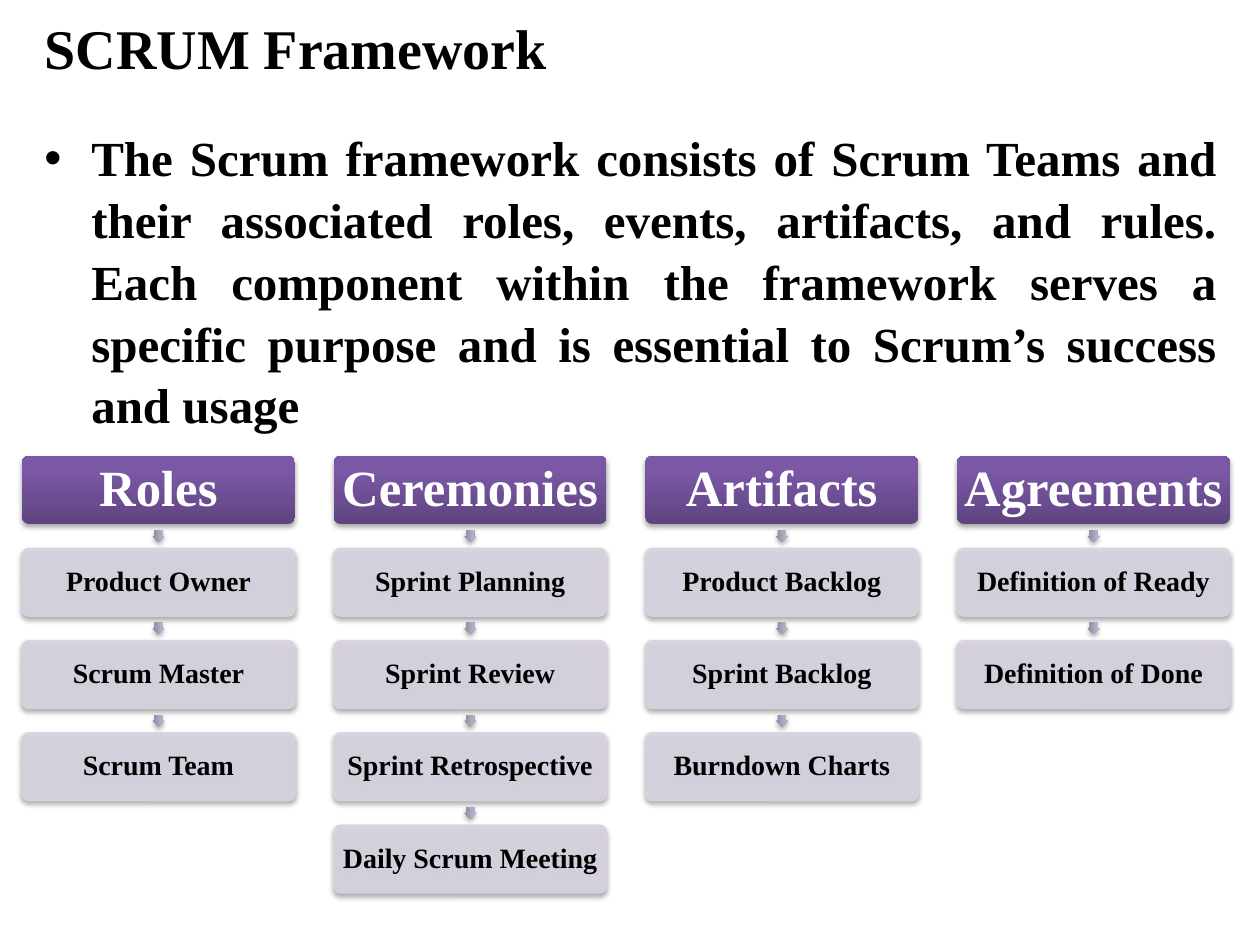
"""Build the SCRUM Framework slide: a title, a definition and four columns of boxes."""
from copy import deepcopy

from lxml import etree
from pptx import Presentation
from pptx import util as u
from pptx.dml.color import RGBColor
from pptx.enum import shapes, text
from pptx.oxml import ns

TITLE = "SCRUM Framework"
DEFINITION = (
    "The Scrum framework consists of Scrum Teams and their associated roles, "
    "events, artifacts, and rules. Each component within the framework serves "
    "a specific purpose and is essential to Scrum’s success and usage"
)
COLUMNS = [
    ("Roles", ["Product Owner", "Scrum Master", "Scrum Team"]),
    ("Ceremonies", ["Sprint Planning", "Sprint Review", "Sprint Retrospective",
                    "Daily Scrum Meeting"]),
    ("Artifacts", ["Product Backlog", "Sprint Backlog", "Burndown Charts"]),
    ("Agreements", ["Definition of Ready", "Definition of Done"]),
]

FONT = "Times New Roman"
BLACK = RGBColor(0x00, 0x00, 0x00)
WHITE = RGBColor(0xFF, 0xFF, 0xFF)
LAVENDER = RGBColor(0xD8, 0xD3, 0xE0)
HEADER_STOPS = [(0, RGBColor(0x5F, 0x44, 0x80)), (0.8, RGBColor(0x7B, 0x58, 0xA6)),
                (1, RGBColor(0x7C, 0x57, 0xA8))]
ARROW_STOPS = [(0, RGBColor(0x8F, 0x86, 0x9C)), (0.8, RGBColor(0xBA, 0xAF, 0xCB)),
               (1, RGBColor(0xBA, 0xAF, 0xCC))]

PX = 914400 / 126
SLIDE_SIZE = (1260, 945)
TITLE_BOX = (32, 0, 1197, 101)
DEFINITION_BOX = (32, 116, 1197, 168)
HANGING = 47
FIRST_LEFT, LAST_LEFT = 22, 957
FIRST_TOP, LAST_TOP = 456, 825
BOX_WIDTH, BOX_HEIGHT = 273, 68
ARROW_SIZE = 12
COLUMN_PITCH = (LAST_LEFT - FIRST_LEFT) / (len(COLUMNS) - 1)
ROW_PITCH = (LAST_TOP - FIRST_TOP) / max(len(items) for _, items in COLUMNS)


def emu(pixels):
    return u.Emu(round(pixels * PX))


def place(shape, box):
    shape.left, shape.top, shape.width, shape.height = map(emu, box)


def write(shape, words, size, color, align, line_spacing=1.0):
    paragraph = shape.text_frame.paragraphs[0]
    paragraph.alignment = align
    paragraph.line_spacing = line_spacing
    run = paragraph.add_run()
    run.text = words
    run.font.name, run.font.size, run.font.bold = FONT, u.Pt(size), True
    run.font.color.rgb = color


def add_child(parent, tag, **attributes):
    return etree.SubElement(parent, ns.qn(tag), attributes)


def add_bullet(paragraph):
    properties = paragraph._p.get_or_add_pPr()
    properties.set("marL", str(emu(HANGING)))
    properties.set("indent", str(-emu(HANGING)))
    add_child(add_child(properties, "a:buClr"), "a:srgbClr", val=str(BLACK))
    add_child(properties, "a:buFont", typeface="Arial")
    add_child(properties, "a:buChar", char="•")


def fill_gradient(shape, stops):
    shape.fill.gradient()
    shape.fill.gradient_angle = 90
    stop_list = shape._element.spPr.find(".//" + ns.qn("a:gsLst"))
    stop_list.append(deepcopy(stop_list[-1]))
    for stop, (position, color) in zip(shape.fill.gradient_stops, stops):
        stop.position = position
        stop.color.rgb = color
    shape.line.fill.background()


def fill_translucent(shape, color):
    shape.fill.solid()
    shape.fill.fore_color.rgb = color
    shape.line.color.rgb = color
    shape.line.width = u.Pt(0.75)
    for element in shape._element.spPr.iter(ns.qn("a:srgbClr")):
        add_child(element, "a:alpha", val="90000")


def add_shadow(shape):
    shape.shadow.inherit = False
    effects = shape._element.spPr.find(ns.qn("a:effectLst"))
    shadow = add_child(effects, "a:outerShdw", blurRad=str(u.Pt(3.1)),
                       dist=str(u.Pt(1.8)), dir="5400000", rotWithShape="0")
    color = add_child(shadow, "a:srgbClr", val=str(BLACK))
    add_child(color, "a:alpha", val="35000")


def add_box(slide, left, top, words, is_header):
    shape = slide.shapes.add_shape(
        shapes.MSO_SHAPE.ROUNDED_RECTANGLE,
        *map(emu, (left, top, BOX_WIDTH, BOX_HEIGHT)))
    shape.adjustments[0] = 0.1
    if is_header:
        fill_gradient(shape, HEADER_STOPS)
    else:
        fill_translucent(shape, LAVENDER)
    add_shadow(shape)
    frame = shape.text_frame
    frame.word_wrap = False
    frame.vertical_anchor = text.MSO_ANCHOR.MIDDLE
    margin = emu(5 if is_header else 3)
    frame.margin_left = frame.margin_right = margin
    frame.margin_top = frame.margin_bottom = margin
    size, color = (29, WHITE) if is_header else (16, BLACK)
    write(shape, words, size, color, text.PP_ALIGN.CENTER, 0.9)


def add_arrow(slide, left, box_top):
    gap = ROW_PITCH - BOX_HEIGHT
    shape = slide.shapes.add_shape(
        shapes.MSO_SHAPE.RIGHT_ARROW,
        emu(left + (BOX_WIDTH - ARROW_SIZE) / 2),
        emu(box_top - (gap + ARROW_SIZE) / 2),
        emu(ARROW_SIZE), emu(ARROW_SIZE))
    shape.rotation = 90
    shape.adjustments[0], shape.adjustments[1] = 0.67, 0.5
    fill_gradient(shape, ARROW_STOPS)
    add_shadow(shape)


def add_heading(slide):
    title = slide.shapes.title
    place(title, TITLE_BOX)
    frame = title.text_frame
    frame.auto_size = text.MSO_AUTO_SIZE.NONE
    frame.vertical_anchor = text.MSO_ANCHOR.TOP
    frame.margin_top = emu(14)
    write(title, TITLE, 32, BLACK, text.PP_ALIGN.LEFT)


def add_definition(slide):
    box = slide.shapes.add_textbox(*map(emu, DEFINITION_BOX))
    box.text_frame.word_wrap = True
    box.text_frame.margin_top = emu(9)
    add_bullet(box.text_frame.paragraphs[0])
    write(box, DEFINITION, 28, BLACK, text.PP_ALIGN.JUSTIFY, 1.05)


def main():
    presentation = Presentation()
    presentation.slide_width, presentation.slide_height = map(emu, SLIDE_SIZE)
    slide = presentation.slides.add_slide(presentation.slide_layouts[5])
    add_heading(slide)
    add_definition(slide)
    for column, (header, items) in enumerate(COLUMNS):
        left = FIRST_LEFT + column * COLUMN_PITCH
        for row, words in enumerate([header, *items]):
            top = FIRST_TOP + row * ROW_PITCH
            if row:
                add_arrow(slide, left, top)
            add_box(slide, left, top, words, is_header=row == 0)
    presentation.save("out.pptx")


if __name__ == "__main__":
    main()
